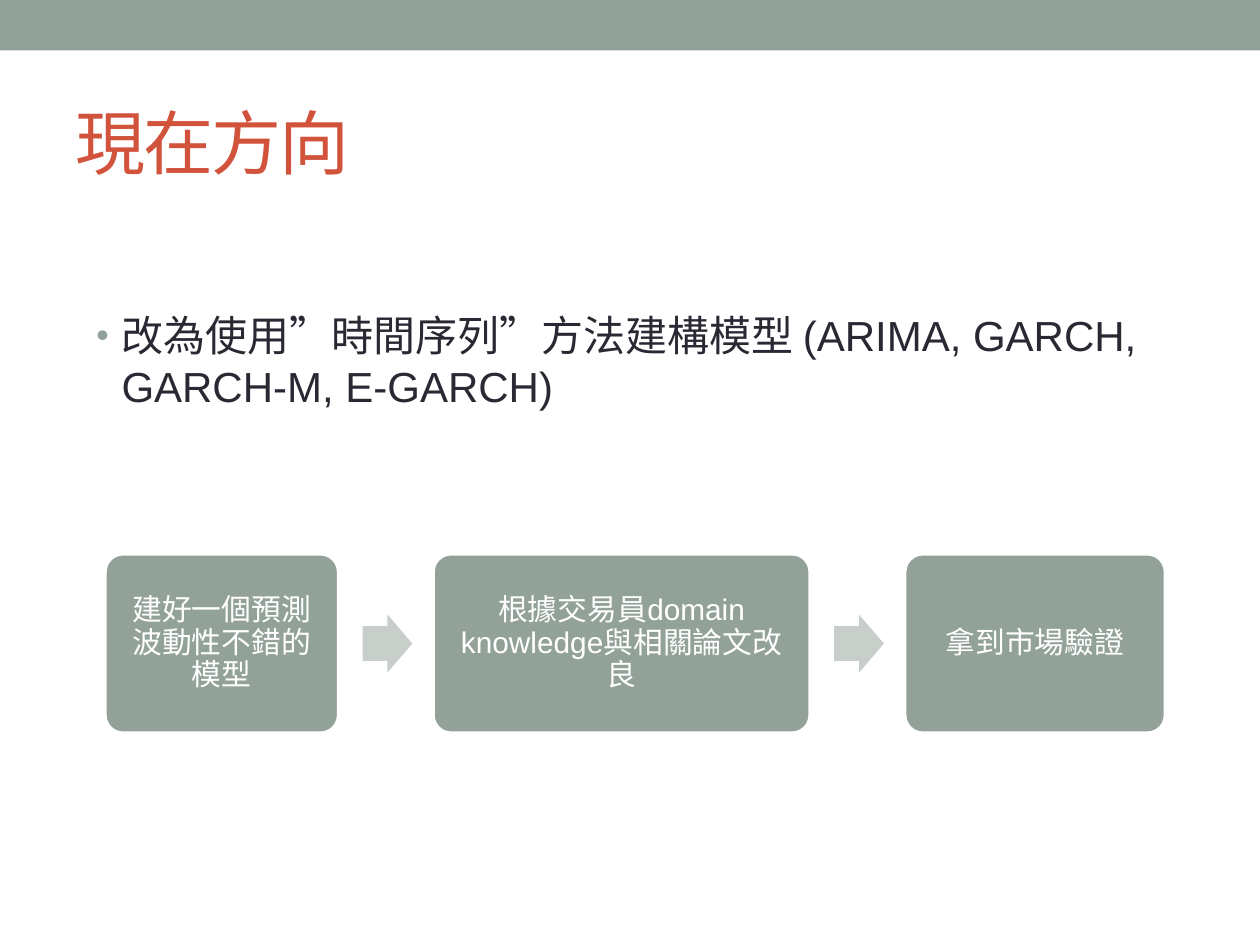
from lxml import etree
from pptx import Presentation
from pptx.dml.color import RGBColor as RGB
from pptx.enum.shapes import MSO_SHAPE as SHAPE
from pptx.enum.text import MSO_ANCHOR as ANCHOR, PP_ALIGN as ALIGN
from pptx.oxml.ns import qn
from pptx.util import Pt

COLORS = {
    "sage": "93A299",
    "arrow": "C8CECA",
    "title": "D2533C",
    "text": "292934",
    "white": "FFFFFF",
}


class SlideBuilder:
    font = "Arial"

    def __init__(self, slide):
        self.slide = slide

    def color(self, name):
        return RGB.from_string(COLORS[name])

    def set_text(self, sp, text, size, color, anchor, inset):
        tf = sp.text_frame
        tf.word_wrap = True
        tf.vertical_anchor = anchor
        tf.margin_left = tf.margin_right = Pt(inset[0])
        tf.margin_top = tf.margin_bottom = Pt(inset[1])
        tf.text = text
        p = tf.paragraphs[0]
        r = p.runs[0]
        r.font.name = self.font
        r.font.size = Pt(size)
        r.font.color.rgb = self.color(color)
        return p

    def shape(self, kind, box, fill, adjust=(), line=None):
        sp = self.slide.shapes.add_shape(kind, *map(Pt, box))
        sp.shadow.inherit = False
        sp.fill.solid()
        sp.fill.fore_color.rgb = self.color(fill)
        for i, value in enumerate(adjust):
            sp.adjustments[i] = value
        if line:
            sp.line.color.rgb = self.color(line)
            sp.line.width = Pt(2)
        else:
            sp.line.fill.background()
        return sp

    def text(self, box, text, size, color, anchor=ANCHOR.TOP):
        sp = self.slide.shapes.add_textbox(*map(Pt, box))
        return self.set_text(sp, text, size, color, anchor, (7.2, 3.6))

    def title(self, box, text):
        p = self.text(box, text, 40, "title", ANCHOR.MIDDLE)
        p.runs[0]._r.get_or_add_rPr().set("spc", "-100")

    def bullet(self, box, text):
        p = self.text(box, text, 24, "text")
        p.space_before = Pt(4.8)
        pPr = p._p.get_or_add_pPr()
        indent = Pt(14.4)
        pPr.set("marL", str(indent))
        pPr.set("indent", str(-indent))
        clr = etree.SubElement(pPr, qn("a:buClr"))
        etree.SubElement(clr, qn("a:srgbClr"), val=COLORS["sage"])
        etree.SubElement(pPr, qn("a:buSzPct"), val="85000")
        etree.SubElement(pPr, qn("a:buFont"), typeface=self.font)
        etree.SubElement(pPr, qn("a:buChar"), char="•")

    def step(self, box, text):
        sp = self.shape(SHAPE.ROUNDED_RECTANGLE, box, "sage", [0.1], "white")
        p = self.set_text(sp, text, 17, "white", ANCHOR.MIDDLE, (8, 8))
        p.alignment = ALIGN.CENTER
        p.line_spacing = 0.9

    def arrow(self, box):
        self.shape(SHAPE.RIGHT_ARROW, box, "arrow", [0.6, 0.5])


def main():
    prs = Presentation()
    prs.slide_width, prs.slide_height = Pt(720), Pt(540)
    s = SlideBuilder(prs.slides.add_slide(prs.slide_layouts[6]))

    # Top band, title and body
    s.shape(SHAPE.RECTANGLE, (0, 0, 720, 28.8), "sage")
    s.title((36, 42, 648, 77.5), "現在方向")
    s.bullet((48, 173.5, 648, 384),
             "改為使用”時間序列”方法建構模型 (ARIMA, GARCH, GARCH-M, E-GARCH)")

    # Process: steps of varying width, an arrow in each gap
    steps = [
        ("建好一個預測波動性不錯的模型", 133.5),
        ("根據交易員domain knowledge與相關論文改良", 215.5),
        ("拿到市場驗證", 149),
    ]
    left, top, height, gap = 60, 316.5, 102.5, 54
    arrow_w, arrow_h, arrow_offset = 28.4, 33.2, 13.7
    for i, (label, width) in enumerate(steps):
        if i:
            s.arrow((left - gap + arrow_offset, top + (height - arrow_h) / 2,
                     arrow_w, arrow_h))
        s.step((left, top, width, height), label)
        left += width + gap

    prs.save("out.pptx")


if __name__ == "__main__":
    main()
